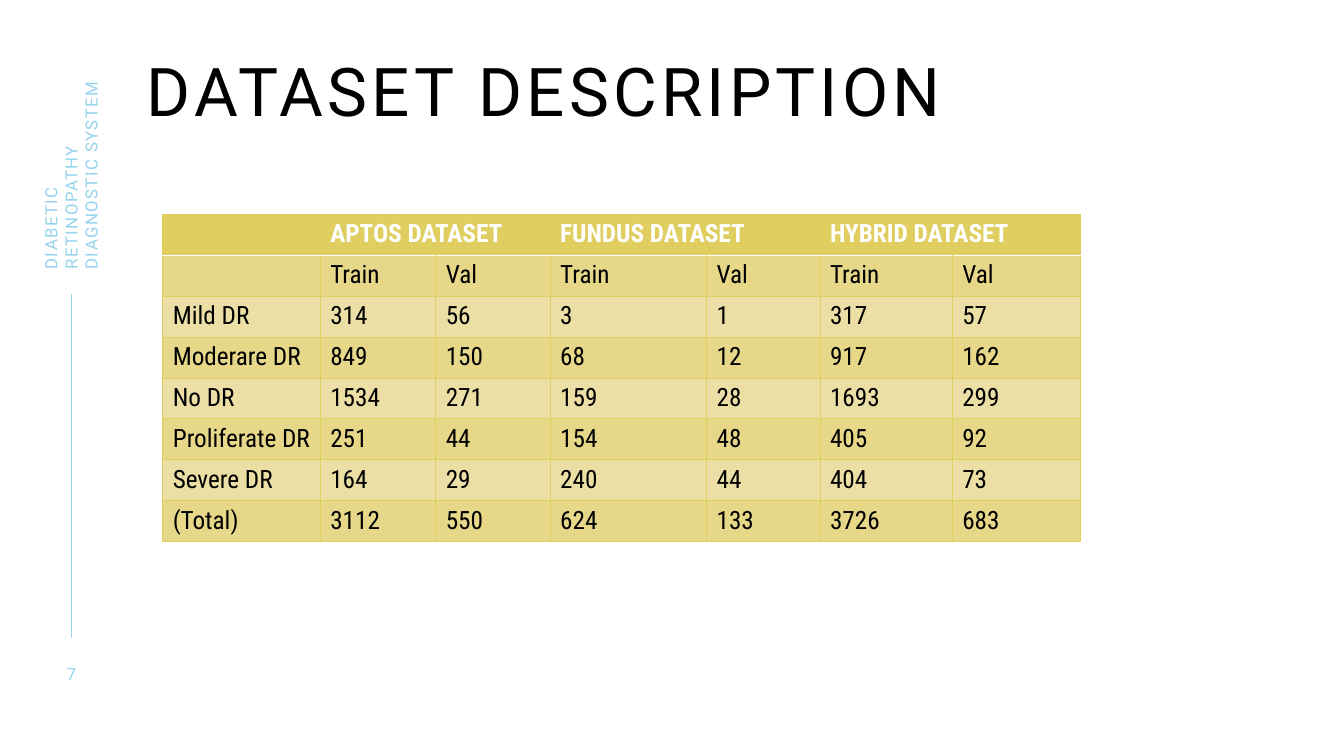
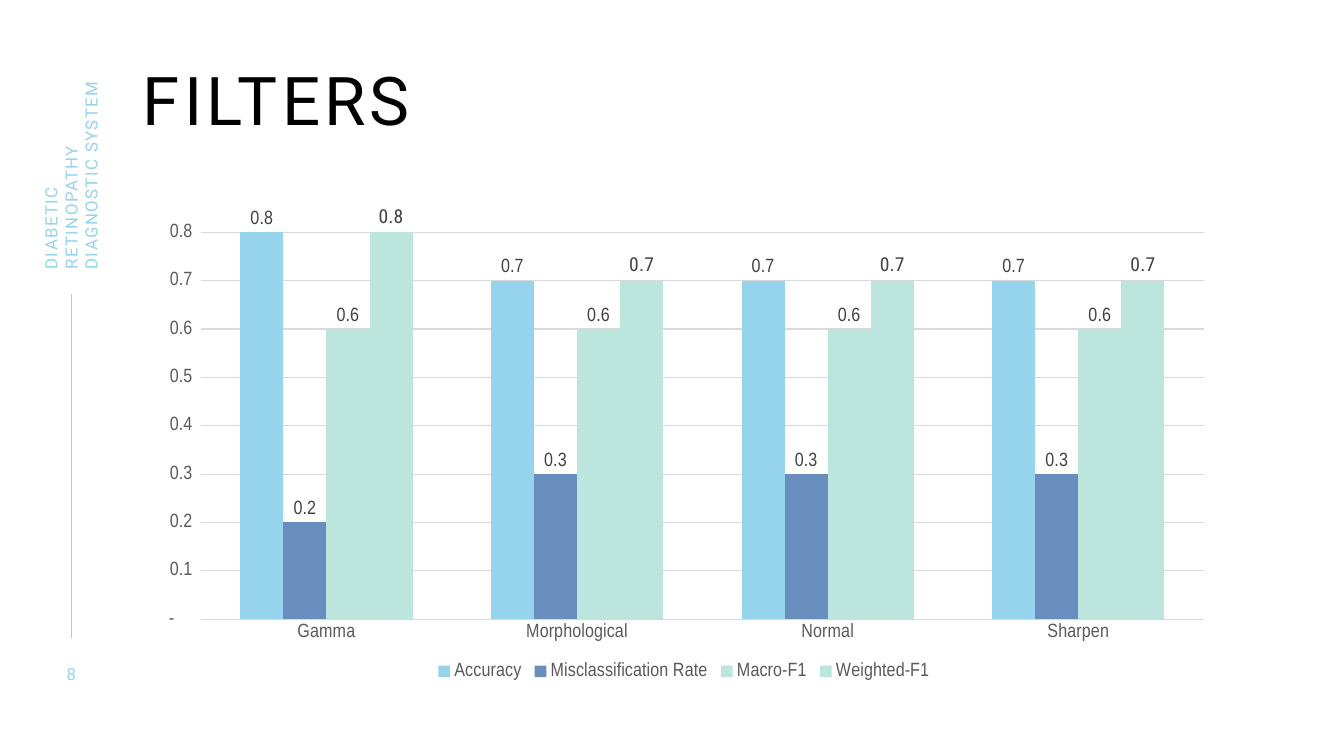
from lxml.etree import SubElement
from pptx import Presentation
from pptx.chart.data import CategoryChartData
from pptx.dml.color import RGBColor
from pptx.enum.chart import XL_CHART_TYPE as ChartType
from pptx.enum.chart import XL_LABEL_POSITION as LabelPosition
from pptx.enum.chart import XL_LEGEND_POSITION as LegendPosition
from pptx.enum.chart import XL_TICK_MARK as TickMark
from pptx.enum.shapes import MSO_CONNECTOR as ConnectorType
from pptx.enum.text import MSO_ANCHOR as Anchor
from pptx.enum.text import MSO_AUTO_SIZE as AutoSize
from pptx.enum.text import PP_ALIGN as Align
from pptx.oxml import parse_xml
from pptx.oxml.ns import nsdecls, qn
from pptx.util import Emu, Pt

EMU_PER_PX = 9525
COLORS = {
    "black": "000000",
    "white": "FFFFFF",
    "sky": "96D3ED",
    "blue": "688EBD",
    "mint": "BCE5DD",
    "gold": "E0CE61",
    "gold_band": "E7D889",
    "gold_light": "EBDFA5",
    "axis_text": "595959",
    "label_text": "404040",
    "grid": "D9D9D9",
}
TITLE_FONT = {"name": "Roboto", "size": 48, "color": "black"}
MARGIN_FONT = {"name": "Roboto", "size": 12, "color": "sky"}
CELL_FONT = {"name": "Roboto Condensed", "size": 18, "color": "black", "bold": False}
HEADER_FONT = {**CELL_FONT, "color": "white", "bold": True}
CHART_FONT = {"name": "Roboto Condensed", "size": 14, "color": "black"}
AXIS_FONT = {"name": "Arial Narrow", "size": 14, "color": "axis_text"}
LABEL_FONT = {**AXIS_FONT, "color": "label_text"}
NUMBER_FORMAT = r'_(* #,##0.0_);_(* \(#,##0.0\);_(* "-"??_);_(@_)'

SYSTEM_NAME = "DIABETIC RETINOPATHY\vDIAGNOSTIC SYSTEM"

DATASETS = ["APTOS DATASET", "FUNDUS DATASET", "HYBRID DATASET"]
DATASET_ROWS = [
    ["", *["Train", "Val"] * len(DATASETS)],
    ["Mild DR", 314, 56, 3, 1, 317, 57],
    ["Moderare DR", 849, 150, 68, 12, 917, 162],
    ["No DR", 1534, 271, 159, 28, 1693, 299],
    ["Proliferate DR", 251, 44, 154, 48, 405, 92],
    ["Severe DR", 164, 29, 240, 44, 404, 73],
    ["(Total)", 3112, 550, 624, 133, 3726, 683],
]
COLUMN_WIDTHS = [150, 110, 109, 149, 108, 126, 122]
ROW_HEIGHT = 39

FILTERS = ["Gamma", "Morphological", "Normal", "Sharpen"]
METRICS = [
    ("Accuracy", [0.8, 0.7, 0.7, 0.7], "sky", LABEL_FONT),
    ("Misclassification Rate", [0.2, 0.3, 0.3, 0.3], "blue", LABEL_FONT),
    ("Macro-F1", [0.6, 0.6, 0.6, 0.6], "mint", LABEL_FONT),
    ("Weighted-F1", [0.8, 0.7, 0.7, 0.7], "mint",
     {**LABEL_FONT, "name": "Roboto Condensed"}),
]


def px(length):
    return Emu(length * EMU_PER_PX)


def color(name):
    return RGBColor.from_string(COLORS[name])


def paint(fill, name):
    fill.solid()
    fill.fore_color.rgb = color(name)


def format_font(font, values):
    for attribute, value in values.items():
        if attribute == "color":
            font.color.rgb = color(value)
        else:
            setattr(font, attribute, Pt(value) if attribute == "size" else value)


def write(frame, text, font, spacing, align=Align.LEFT, anchor=Anchor.MIDDLE):
    """Fill a frame without margins; spacing is between letters, in points."""
    settings = {
        "margin_left": 0, "margin_right": 0, "margin_top": 0, "margin_bottom": 0,
        "word_wrap": True, "auto_size": AutoSize.NONE, "vertical_anchor": anchor,
    }
    for attribute, value in settings.items():
        setattr(frame, attribute, value)
    frame.text = text
    paragraph = frame.paragraphs[0]
    paragraph.alignment = align
    for run in paragraph.runs:
        format_font(run.font, font)
        run.font._element.set("spc", str(spacing * 100))


def add_margin_line(slide, layout):
    """Draw the line of the left margin and hand it over to the layout."""
    line = slide.shapes.add_connector(
        ConnectorType.STRAIGHT, px(68), px(280), px(68), px(608))
    line.line.color.rgb = color("sky")
    line.line.width = Pt(1)
    SubElement(line.element.spPr, qn("a:effectLst"))
    layout.shapes.element.append(line.element)


def add_margin_texts(slide, number):
    name_box = slide.shapes.add_textbox(px(-26), px(153), px(187), px(20))
    name_box.rotation = 270
    write(name_box.text_frame, SYSTEM_NAME, MARGIN_FONT, 1)
    number_box = slide.shapes.add_textbox(px(44), px(632), px(48), px(19))
    write(number_box.text_frame, str(number), MARGIN_FONT, 2, Align.CENTER)


def add_titled_slide(presentation, layout, title, left, top, number):
    slide = presentation.slides.add_slide(layout)
    shape = slide.shapes.title
    shape.left, shape.top, shape.width, shape.height = map(px, (left, top, 1056, 96))
    write(shape.text_frame, title, TITLE_FONT, 3, anchor=Anchor.TOP)
    shape.text_frame.paragraphs[0].line_spacing = 0.9
    add_margin_texts(slide, number)
    return slide


def set_borders(cell, **edges):
    """Give the sides L, R, T and B a (colour, points) line each."""
    properties = cell._tc.get_or_add_tcPr()
    for position, side in enumerate("LRTB"):
        name, points = edges.get(side, ("gold", 0.5))
        properties.insert(position, parse_xml(
            f'<a:ln{side} {nsdecls("a")} w="{Pt(points)}"><a:solidFill>'
            f'<a:srgbClr val="{COLORS[name]}"/></a:solidFill></a:ln{side}>'))


def add_dataset_table(slide, left, top):
    header = [""]
    for dataset in DATASETS:
        header += [dataset, ""]
    rows = [header, *DATASET_ROWS]
    table = slide.shapes.add_table(
        len(rows), len(COLUMN_WIDTHS), px(left), px(top),
        px(sum(COLUMN_WIDTHS)), px(ROW_HEIGHT * len(rows))).table
    table.horz_banding = False
    for column, width in zip(table.columns, COLUMN_WIDTHS):
        column.width = px(width)
    rule = ("white", 1)
    for row_index, values in enumerate(rows):
        table.rows[row_index].height = px(ROW_HEIGHT)
        band = "gold_band" if row_index % 2 else "gold_light"
        edges = {0: {"B": rule}, 1: {"T": rule}}.get(row_index, {})
        for column_index, value in enumerate(values):
            cell = table.cell(row_index, column_index)
            paint(cell.fill, band if row_index else "gold")
            set_borders(cell, **edges)
            cell.text = str(value)
            paragraph = cell.text_frame.paragraphs[0]
            format_font(paragraph.font, CELL_FONT if row_index else HEADER_FONT)
            for run in paragraph.runs:
                format_font(run.font, CELL_FONT if row_index else HEADER_FONT)
    for first in range(1, len(header), 2):
        table.cell(0, first).merge(table.cell(0, first + 1))


def format_axes(chart):
    for axis in (chart.category_axis, chart.value_axis):
        axis.major_tick_mark = axis.minor_tick_mark = TickMark.NONE
        format_font(axis.tick_labels.font, AXIS_FONT)
    value_axis = chart.value_axis
    value_axis.minimum_scale, value_axis.maximum_scale = 0, 0.8
    value_axis.major_unit = 0.1
    value_axis.tick_labels.number_format = NUMBER_FORMAT
    value_axis.tick_labels.number_format_is_linked = False
    value_axis.format.line.fill.background()
    for line in (chart.category_axis.format.line, value_axis.major_gridlines.format.line):
        line.color.rgb = color("grid")
        line.width = Pt(0.75)


def add_filter_chart(slide, left, top, width, height):
    data = CategoryChartData(number_format=NUMBER_FORMAT)
    data.categories = FILTERS
    for name, values, _, _ in METRICS:
        data.add_series(name, values)
    chart = slide.shapes.add_chart(
        ChartType.COLUMN_CLUSTERED, px(left), px(top), px(width), px(height), data).chart
    format_font(chart.font, CHART_FONT)
    chart.has_title = False
    chart.has_legend = True
    chart.legend.position = LegendPosition.BOTTOM
    chart.legend.include_in_layout = False
    format_font(chart.legend.font, AXIS_FONT)
    format_axes(chart)
    plot = chart.plots[0]
    plot.gap_width = 182
    plot.overlap = 0
    plot.vary_by_categories = False
    for series, (_, _, fill, label_font) in zip(plot.series, METRICS):
        paint(series.format.fill, fill)
        series.invert_if_negative = False
        labels = series.data_labels
        labels.show_value = True
        labels.position = LabelPosition.OUTSIDE_END
        labels.number_format = NUMBER_FORMAT
        labels.number_format_is_linked = False
        format_font(labels.font, label_font)


def main():
    presentation = Presentation()
    presentation.slide_width, presentation.slide_height = px(1280), px(720)
    layout = presentation.slide_layouts.get_by_name("Title Only")

    dataset_slide = add_titled_slide(
        presentation, layout, "DATASET DESCRIPTION", 140, 56, 7)
    add_margin_line(dataset_slide, layout)
    add_dataset_table(dataset_slide, 155, 204)

    filter_slide = add_titled_slide(presentation, layout, "FILTERS", 136, 64, 8)
    add_filter_chart(filter_slide, 136, 195, 1031, 457)

    presentation.save("out.pptx")


if __name__ == "__main__":
    main()
